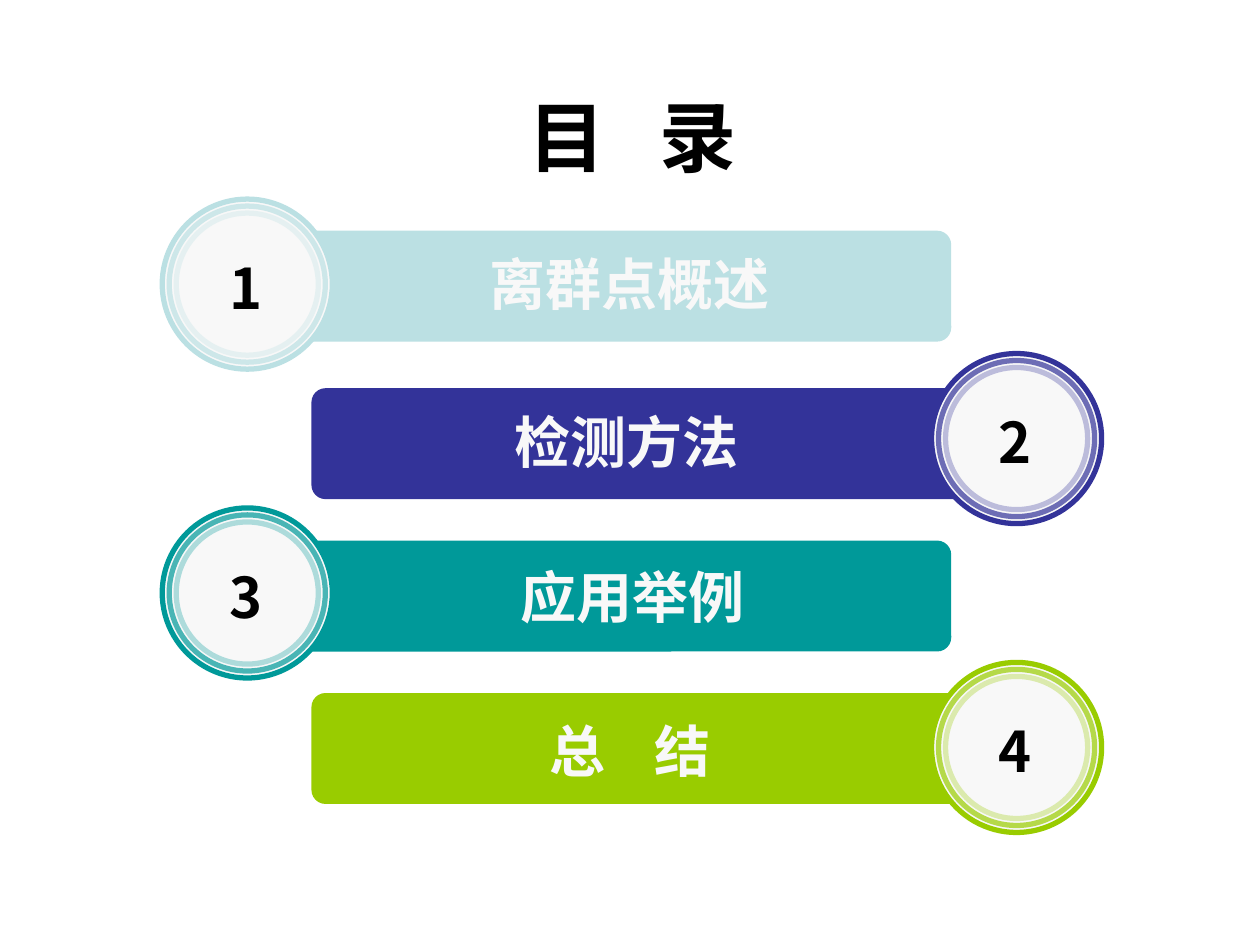
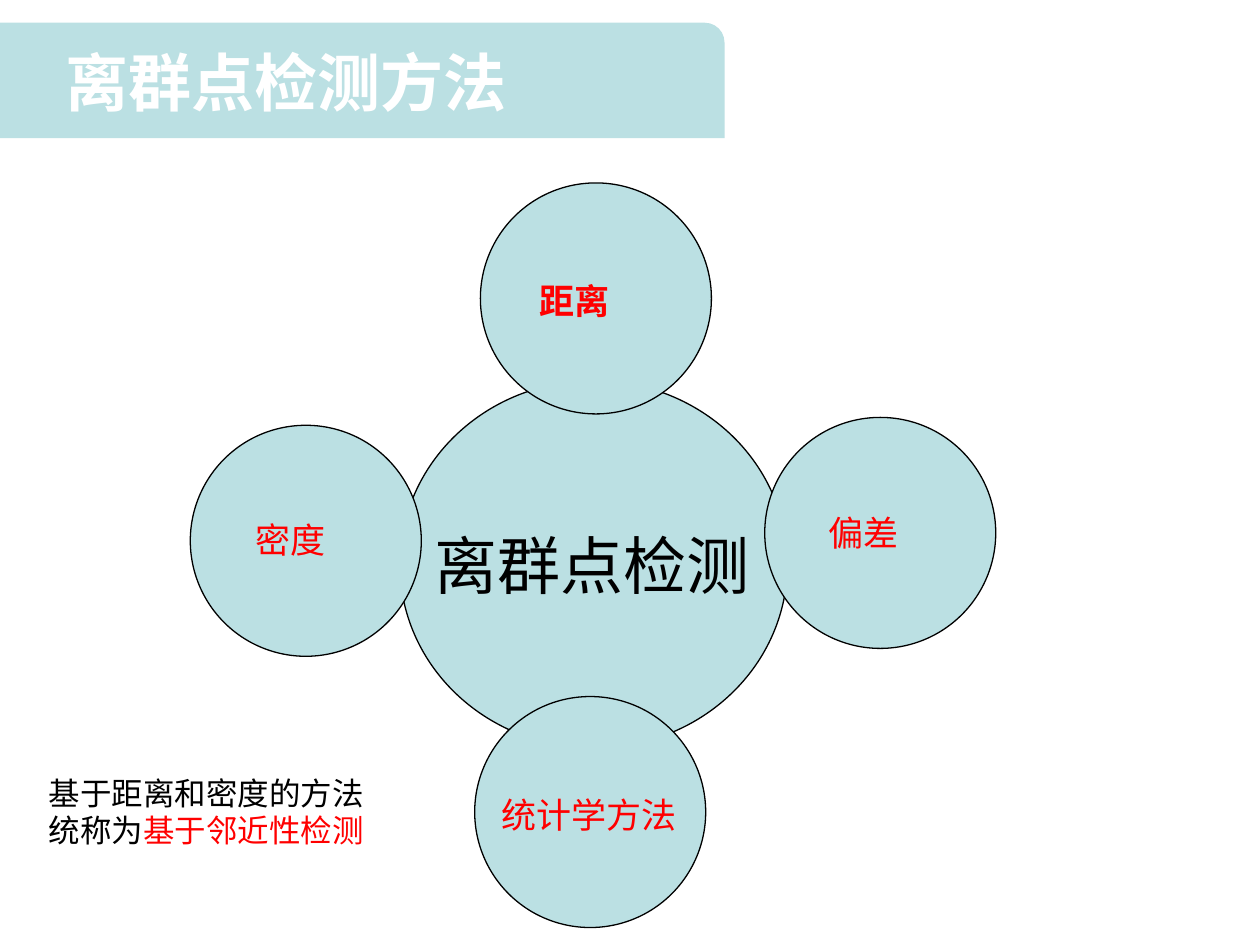
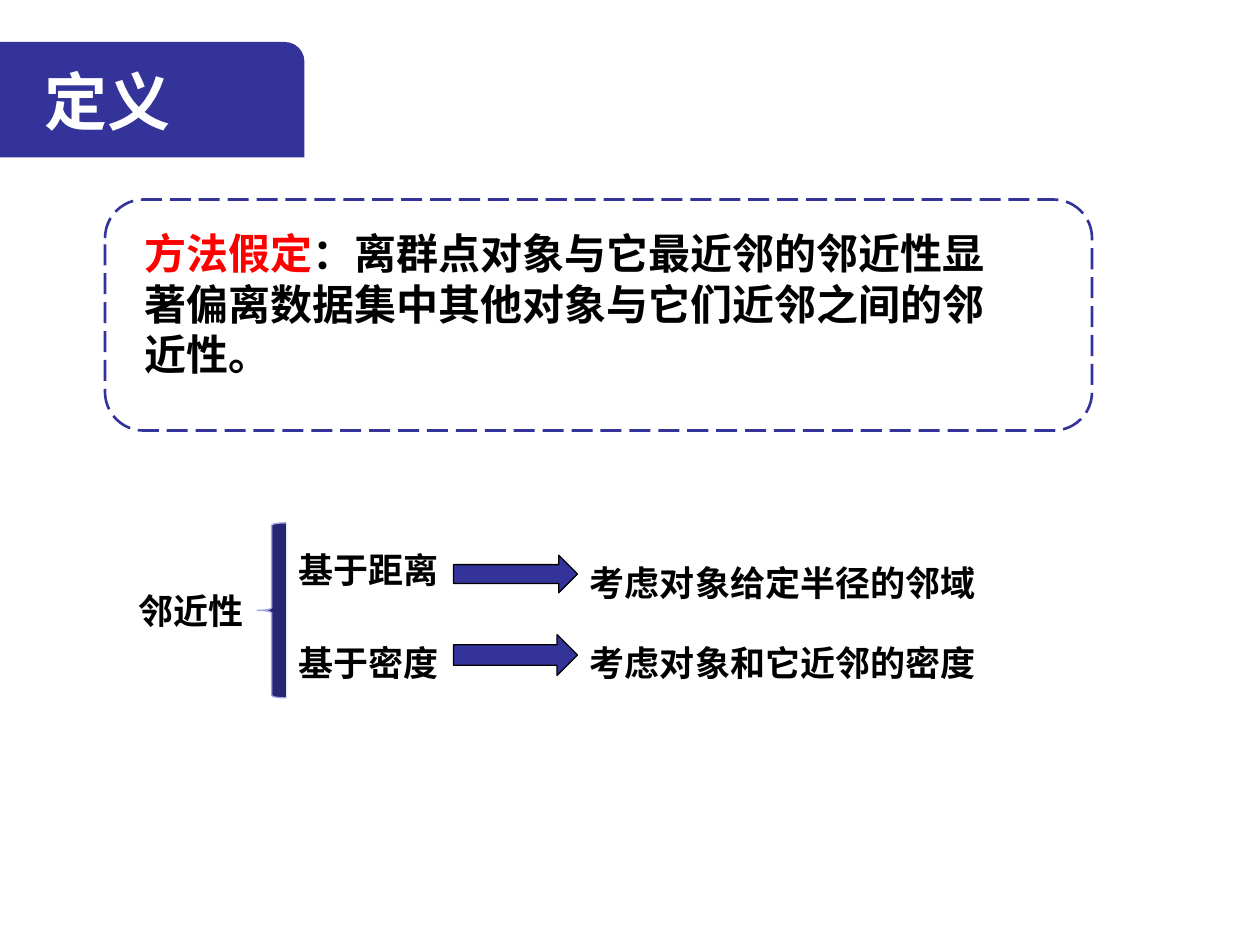
from lxml import etree
from pptx import Presentation
from pptx.dml.color import RGBColor
from pptx.enum import dml, shapes, text
from pptx.oxml import ns
from pptx.util import Pt

# Shared style
PALE, NAVY = RGBColor(0xBB, 0xE0, 0xE3), RGBColor(0x33, 0x33, 0x99)
TEAL, LIME = RGBColor(0x00, 0x99, 0x99), RGBColor(0x99, 0xCC, 0x00)
BLACK, WHITE = RGBColor(0, 0, 0), RGBColor(0xFF, 0xFF, 0xFF)
SNOW, RED = RGBColor(0xF8, 0xF8, 0xF8), RGBColor(0xFF, 0, 0)
BRACE_FILL, BRACE_LINE = RGBColor(0x26, 0x26, 0x73), RGBColor(0xA3, 0xA3, 0xE0)
LATIN, CJK = "Arial", "Noto Sans CJK SC"
SHAPE = shapes.MSO_SHAPE
CENTER = text.PP_ALIGN.CENTER

# Contents: label parts, colour, bar top, label left, label nudge
CONTENTS_TITLE = ["目", "录"]
CONTENTS = [
    (["离群点概述"], PALE, 131.8, 180, -2.5),
    (["检测方法"], NAVY, 221.8, 178, 0),
    (["应用举例"], TEAL, 308.9, 181.5, 0),
    (["总", "结"], LIME, 396, 180, 0),
]
MEDAL_TOP, MEDAL_PITCH, MEDAL_SIZE = 113.75, 88.25, 97.2
RING_STEP, RING_OPACITIES = 4, (100, 70, 30)

# Methods: label, bold, circle left and top, label box
METHODS_TITLE, METHODS_CENTER = "离群点检测方法", "离群点检测"
METHODS = [
    ("距离", True, (274.5, 104.5), (301, 156.2, 80, 32)),
    ("偏差", False, (437, 238.5), (466.5, 288.7, 94, 32)),
    ("密度", False, (108.75, 243), (139, 293, 73, 32)),
    ("统计学方法", False, (271.25, 398), (279.4, 450, 120, 32)),
]
METHODS_NOTE = [("基于距离和密度的方法统称为", BLACK), ("基于邻近性检测", RED)]

# Definition: statement, then basis, basis top, arrow top and height, meaning, meaning top
DEFINITION_TITLE = "定义"
ASSUMPTION = [
    ("方法假定", RED),
    ("：离群点对象与它最近邻的邻近性显著偏离数据集中其他对象与它们近邻之间的邻近性。", BLACK),
]
PROXIMITY = "邻近性"
BASES = [
    ("基于距离", 309.6, 317.3, 21.5, "考虑对象给定半径的邻域", 317.5),
    ("基于密度", 363, 362.7, 23.3, "考虑对象和它近邻的密度", 363),
]


def add_shape(parent, kind, box, fill=None, line=None, width=0.75):
    shape = parent.shapes.add_shape(kind, *map(Pt, box))
    shape.shadow.inherit = False
    if fill is None:
        shape.fill.background()
    else:
        shape.fill.solid()
        shape.fill.fore_color.rgb = fill
    if line is None:
        shape.line.fill.background()
    else:
        shape.line.color.rgb = line
        shape.line.width = Pt(width)
    return shape


def add_run(paragraph, words, size, color, bold=False, font=LATIN):
    run = paragraph.add_run()
    run.text = words
    run.font.size, run.font.bold, run.font.name = Pt(size), bold, font
    run.font.color.rgb = color
    properties = run._r.get_or_add_rPr()
    east_asian = etree.Element(ns.qn("a:ea"), typeface=CJK)
    properties.find(ns.qn("a:latin")).addnext(east_asian)
    return run


def add_spread(paragraph, parts, gap, *style):
    """Write parts parted by one space that is widened by gap points."""
    for index, part in enumerate(parts):
        if index:
            space = add_run(paragraph, " ", *style)
            space._r.get_or_add_rPr().set("spc", str(round(gap * 100)))
        add_run(paragraph, part, *style)


def add_text(slide, box, runs, size, bold=False):
    frame = slide.shapes.add_textbox(*map(Pt, box)).text_frame
    frame.word_wrap = True
    for words, color in runs:
        add_run(frame.paragraphs[0], words, size, color, bold)


def place_title(slide, box, anchor, align):
    title = slide.shapes.title
    title.left, title.top, title.width, title.height = map(Pt, box)
    frame = title.text_frame
    frame.word_wrap, frame.auto_size = True, text.MSO_AUTO_SIZE.NONE
    frame.vertical_anchor = anchor
    frame.paragraphs[0].alignment = align
    return frame.paragraphs[0]


def add_band_title(slide, words, color, top, width, left, text_width):
    band = add_shape(slide, SHAPE.ROUND_1_RECTANGLE, (0, top, width, 66), color)
    band.adjustments[0] = 0.17
    paragraph = place_title(slide, (left, top + 8, text_width, 50.4),
                            text.MSO_ANCHOR.TOP, text.PP_ALIGN.LEFT)
    add_run(paragraph, words, 36, WHITE, True)
    band._element.addnext(slide.shapes.title._element)


def add_medal(slide, left, top, color):
    group = slide.shapes.add_group_shape()
    for index, opacity in enumerate(RING_OPACITIES):
        inset, size = RING_STEP * index, MEDAL_SIZE - 2 * RING_STEP * index
        ring = add_shape(group, SHAPE.OVAL, (left + inset, top + inset, size, size),
                         None if index else SNOW, color, 3)
        if opacity < 100:
            line_color = ring.line._ln.find(".//" + ns.qn("a:srgbClr"))
            etree.SubElement(line_color, ns.qn("a:alpha"), val=str(opacity * 1000))


def build_contents(slide):
    paragraph = place_title(slide, (37.5, 32.4, 648, 90), text.MSO_ANCHOR.MIDDLE, CENTER)
    add_spread(paragraph, CONTENTS_TITLE, 21, 44, BLACK, True, CJK)
    for index, (label, color, bar_top, label_left, nudge) in enumerate(CONTENTS):
        on_right = index % 2 == 1
        bar_left, medal_left, number_left = (178, 532.3, 537.8) if on_right else (164.2, 92.7, 98)
        medal_top = MEDAL_TOP + MEDAL_PITCH * index
        text_top = medal_top + 27.5
        bar = add_shape(slide, SHAPE.ROUNDED_RECTANGLE, (bar_left, bar_top, 379.4, 63.4), color)
        bar.adjustments[0] = 0.127
        add_medal(slide, medal_left, medal_top, color)
        for parts, left, top, width, ink in (
            (label, label_left, text_top + nudge, 360, SNOW),
            ([str(index + 1)], number_left, text_top, 85, BLACK),
        ):
            frame = slide.shapes.add_textbox(Pt(left), Pt(top), Pt(width), Pt(46)).text_frame
            frame.word_wrap = True
            frame.paragraphs[0].alignment = CENTER
            add_spread(frame.paragraphs[0], parts, 21, 32, ink, True, CJK)


def build_methods(slide):
    add_shape(slide, SHAPE.OVAL, (228.5, 217.5, 221.5, 210), PALE, BLACK)
    add_band_title(slide, METHODS_TITLE, PALE, 13, 414, 30, 354)
    add_text(slide, (241, 297.4, 216, 50.4), [(METHODS_CENTER, BLACK)], 36)
    for label, bold, (left, top), label_box in METHODS:
        add_shape(slide, SHAPE.OVAL, (left, top, 132, 132), PALE, BLACK)
        add_text(slide, label_box, [(label, RED)], 20, bold)
    add_text(slide, (20.7, 438.5, 204, 50.4), METHODS_NOTE, 18)


def build_definition(slide):
    add_band_title(slide, DEFINITION_TITLE, NAVY, 24, 174, 18, 132)
    frame = add_shape(slide, SHAPE.ROUNDED_RECTANGLE, (60, 114, 564, 132), None, NAVY, 1.5)
    frame.adjustments[0] = 0.167
    frame.line.dash_style = dml.MSO_LINE.LONG_DASH
    add_text(slide, (75.6, 126.7, 509, 122), ASSUMPTION, 24, True)
    # Proximity tree
    add_shape(slide, SHAPE.LEFT_BRACE, (147, 298.8, 16.5, 100), BRACE_FILL, BRACE_LINE)
    add_text(slide, (72, 333.2, 104, 32), [(PROXIMITY, BLACK)], 20, True)
    for basis, basis_top, arrow_top, arrow_height, meaning, meaning_top in BASES:
        add_text(slide, (163.4, basis_top, 96, 32), [(basis, BLACK)], 20, True)
        add_shape(slide, SHAPE.RIGHT_ARROW, (259.2, arrow_top, 70.8, arrow_height), NAVY, BLACK)
        add_text(slide, (330, meaning_top, 250, 32), [(meaning, BLACK)], 20, True)


def main():
    presentation = Presentation()
    presentation.slide_width, presentation.slide_height = Pt(720), Pt(540)
    for build in (build_contents, build_methods, build_definition):
        build(presentation.slides.add_slide(presentation.slide_layouts[5]))
    presentation.save("out.pptx")


if __name__ == "__main__":
    main()
